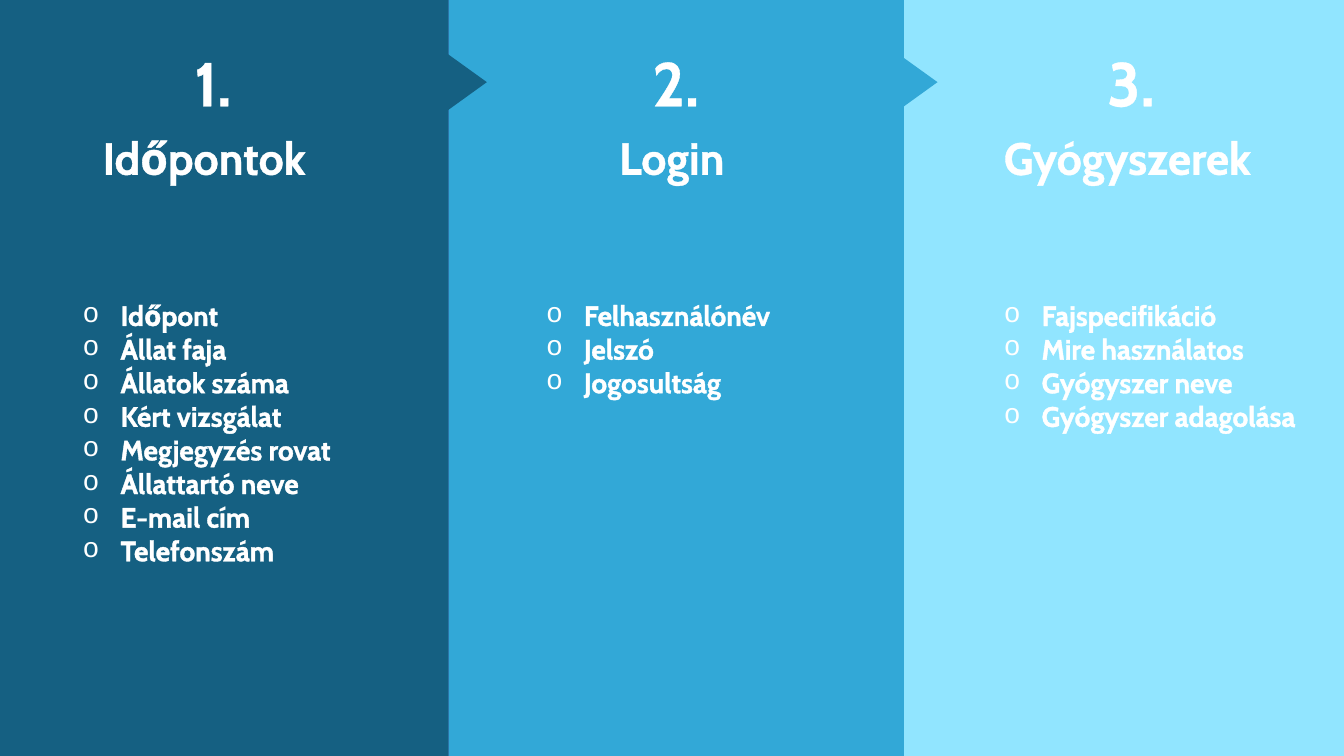
from pptx import Presentation
from pptx.dml.color import RGBColor
from pptx.enum.shapes import MSO_SHAPE
from pptx.enum.text import PP_ALIGN
from pptx.oxml import parse_xml
from pptx.oxml.ns import nsdecls
from pptx.util import Pt

RECTANGLE, TRIANGLE = MSO_SHAPE.RECTANGLE, MSO_SHAPE.ISOSCELES_TRIANGLE
LEFT, CENTER, RIGHT = PP_ALIGN.LEFT, PP_ALIGN.CENTER, PP_ALIGN.RIGHT
FONT, WHITE = "Cabin", "FFFFFF"
SLIDE_WIDTH, SLIDE_HEIGHT = 960, 540
BLANK_LAYOUT = 6
LIST_INDENT = 27
ARROW_BASE, ARROW_DEPTH, ARROW_MIDDLE = 42.5, 29.5, 58.7

# Offsets are measured from the left edge of each panel;
# arrow_offset runs from its right edge to the centre of the arrow.
PANELS = [
    dict(left=-2, width=322.5, fill="156082", number="1.", heading="Időpontok",
         middle=147.8, list_left=54, list_width=242, arrow_offset=12.5,
         items=["Időpont", "Állat faja", "Állatok száma", "Kért vizsgálat",
                "Megjegyzés rovat", "Állattartó neve", "E-mail cím", "Telefonszám"]),
    dict(left=320.5, width=325.2, fill="32A8D7", number="2.", heading="Login",
         middle=159.4, list_left=62.5, list_width=191, arrow_offset=9.2,
         items=["Felhasználónév", "Jelszó", "Jogosultság"]),
    dict(left=645.7, width=317.5, fill="91E5FF", number="3.", heading="Gyógyszerek",
         middle=159.6, list_left=64.2, list_width=228, arrow_offset=None,
         items=["Fajspecifikáció", "Mire használatos", "Gyógyszer neve",
                "Gyógyszer adagolása"]),
]


def color(value):
    return RGBColor.from_string(value)


def add_plain_shape(slide, kind, left, top, width, height, fill):
    shape = slide.shapes.add_shape(kind, Pt(left), Pt(top), Pt(width), Pt(height))
    shape.shadow.inherit = False
    shape.fill.solid()
    shape.fill.fore_color.rgb = color(fill)
    shape.line.fill.background()
    return shape


def add_bullet(paragraph):
    properties = paragraph._p.get_or_add_pPr()
    properties.set("marL", str(Pt(LIST_INDENT)))
    properties.set("indent", str(-Pt(LIST_INDENT)))
    properties.append(parse_xml(f'<a:buFont {nsdecls("a")} typeface="Courier New"/>'))
    properties.append(parse_xml(f'<a:buChar {nsdecls("a")} char="o"/>'))


def add_text(slide, left, top, width, height, lines, size, alignment, bulleted=False):
    box = slide.shapes.add_textbox(Pt(left), Pt(top), Pt(width), Pt(height))
    frame = box.text_frame
    frame.word_wrap = True
    for index, line in enumerate(lines):
        paragraph = frame.add_paragraph() if index else frame.paragraphs[0]
        paragraph.alignment = alignment
        if bulleted:
            add_bullet(paragraph)
        run = paragraph.add_run()
        run.text = line
        run.font.name = FONT
        run.font.size = Pt(size)
        run.font.bold = True
        run.font.color.rgb = color(WHITE)
        # Thin white outline around the letters
        run.font._element.insert(0, parse_xml(
            f'<a:ln {nsdecls("a")} w="{Pt(1)}"><a:solidFill>'
            f'<a:srgbClr val="{WHITE}"/></a:solidFill></a:ln>'))


def add_panel(slide, left, width, fill, number, heading, middle,
              list_left, list_width, arrow_offset, items):
    # Background
    add_plain_shape(slide, RECTANGLE, left, 0, width, SLIDE_HEIGHT, fill)

    # Number and heading share one centre line
    for text, top, box_width, height, size, alignment in (
            (number, 28.4, 53.3, 60.5, 44, RIGHT),
            (heading, 89.3, 190.8, 46, 32, CENTER)):
        add_text(slide, left + middle - box_width / 2, top, box_width, height,
                 [text], size, alignment)

    # List of fields
    add_text(slide, left + list_left, 209.3, list_width, 7.2 + 24 * len(items),
             items, 20, LEFT, bulleted=True)

    # Arrow pointing into the next panel
    if arrow_offset is not None:
        arrow = add_plain_shape(
            slide, TRIANGLE, left + width + arrow_offset - ARROW_BASE / 2,
            ARROW_MIDDLE - ARROW_DEPTH / 2, ARROW_BASE, ARROW_DEPTH, fill)
        arrow.rotation = 90


def main():
    presentation = Presentation()
    presentation.slide_width = Pt(SLIDE_WIDTH)
    presentation.slide_height = Pt(SLIDE_HEIGHT)
    slide = presentation.slides.add_slide(presentation.slide_layouts[BLANK_LAYOUT])
    slide.background.fill.solid()
    slide.background.fill.fore_color.rgb = color("6598FF")

    # Right to left, so that each arrow lies over the next panel
    for panel in reversed(PANELS):
        add_panel(slide, **panel)
    presentation.save("out.pptx")


if __name__ == "__main__":
    main()
